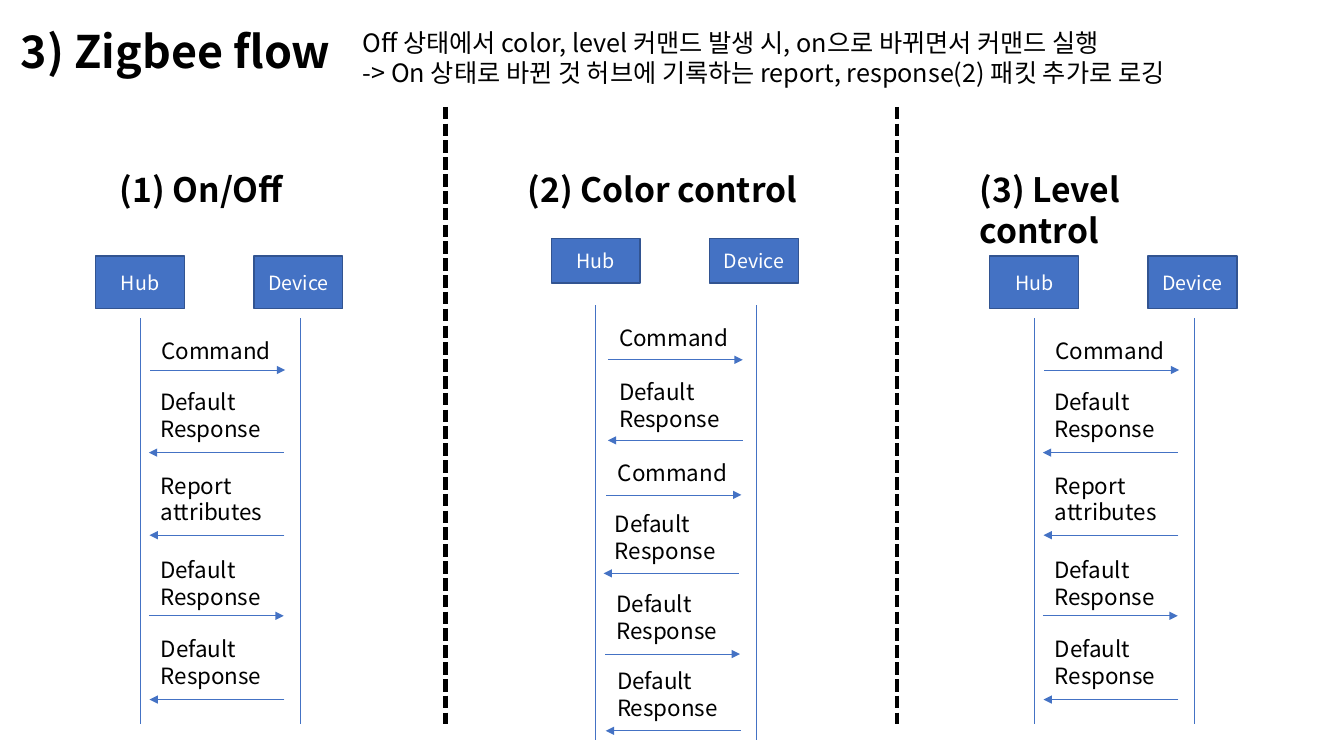
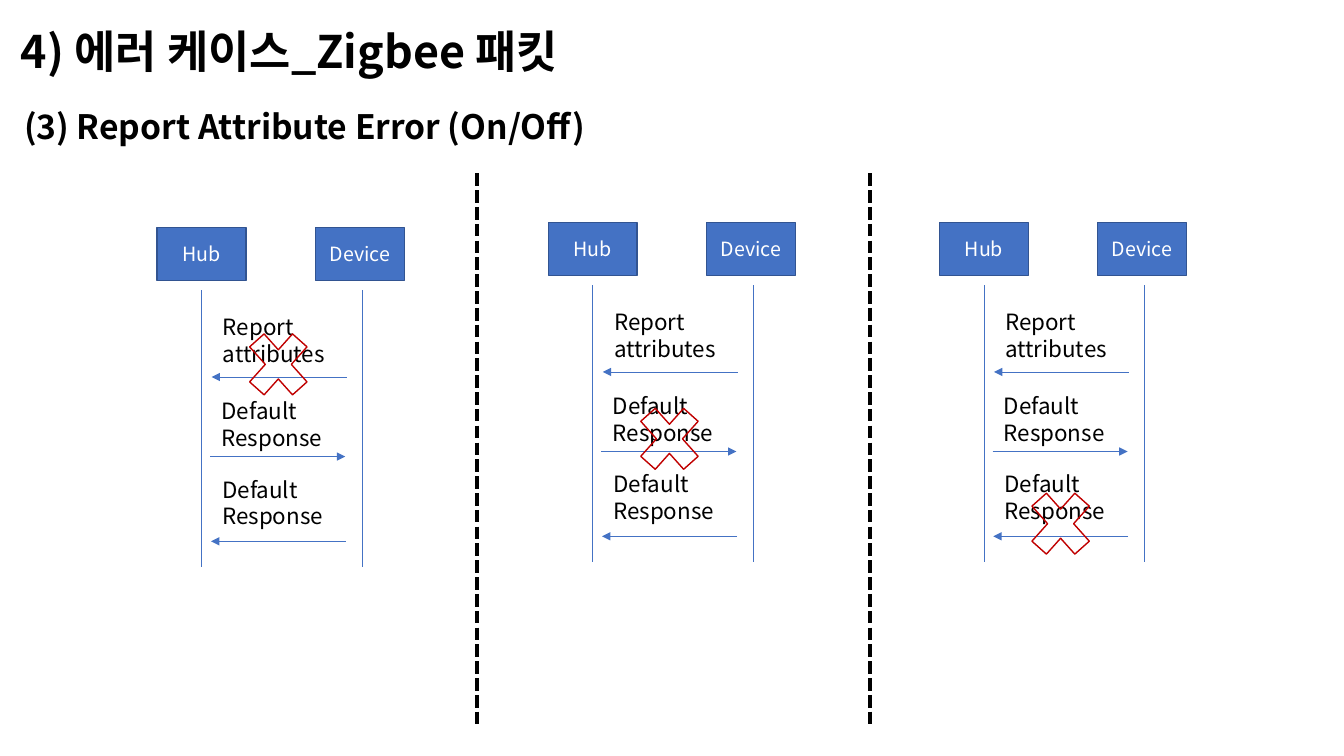
from pptx import Presentation
from pptx.dml.color import RGBColor
from pptx.enum.dml import MSO_LINE
from pptx.enum.shapes import MSO_CONNECTOR, MSO_SHAPE
from pptx.enum.text import MSO_ANCHOR, MSO_AUTO_SIZE, PP_ALIGN
from pptx.oxml.ns import qn
from pptx.util import Pt
from lxml import etree

STRAIGHT = MSO_CONNECTOR.STRAIGHT
RECTANGLE, CROSS = MSO_SHAPE.RECTANGLE, MSO_SHAPE.MATH_MULTIPLY
DASH = MSO_LINE.SQUARE_DOT
MIDDLE, TOP = MSO_ANCHOR.MIDDLE, MSO_ANCHOR.TOP
CENTER, LEFT = PP_ALIGN.CENTER, PP_ALIGN.LEFT
FIT = MSO_AUTO_SIZE.SHAPE_TO_FIT_TEXT

FONT = "Noto Sans CJK KR"
BLACK, WHITE, BLUE, NAVY, RED = "000000", "FFFFFF", "4472C4", "325491", "C00000"

# Sequence geometry, relative to the left edge of the hub
NODE_W, NODE_H, DEVICE_X = 63.5, 37.5, 113
LIFELINES = (31.7, 146.2)
ARROW_START, ARROW_END = 38.4, 134.8
LABEL_X, LABEL_W = 39.4, 97
TO_DEVICE, TO_HUB = True, False
COMMAND, RESPONSE, REPORT = "Command", "Default Response", "Report attributes"

# Messages: text, direction, label top, arrow height, sideways shift
SWITCH_FLOW = [
    (COMMAND, TO_DEVICE, 54.7, 81.4, 0.5),
    (RESPONSE, TO_HUB, 90.7, 140.4, -0.5),
    (REPORT, TO_HUB, 150.5, 199.4, 0),
    (RESPONSE, TO_DEVICE, 211, 257, -0.5),
    (RESPONSE, TO_HUB, 267, 316.8, 0),
]
COLOR_FLOW = [
    (COMMAND, TO_DEVICE, 57.6, 86.4, 2),
    (RESPONSE, TO_HUB, 95.8, 144, 2),
    (COMMAND, TO_DEVICE, 154, 182.9, 1),
    (RESPONSE, TO_HUB, 190, 239, -1),
    (RESPONSE, TO_DEVICE, 247.7, 296.6, 0),
    (RESPONSE, TO_HUB, 302.4, 351.4, 0.5),
]
REPORT_FLOW = [
    (REPORT, TO_HUB, 57.6, 106.6, 0.5),
    (RESPONSE, TO_DEVICE, 117.4, 163.4, -0.5),
    (RESPONSE, TO_HUB, 173.5, 224, 0),
]


def color(hex_code):
    return RGBColor.from_string(hex_code)


def write(frame, text, size=16, ink=BLACK, bold=False, align=LEFT,
          anchor=TOP, wrap=True):
    frame.word_wrap = wrap
    frame.vertical_anchor = anchor
    for index, line in enumerate(text.split("\n")):
        paragraph = frame.paragraphs[0] if index == 0 else frame.add_paragraph()
        paragraph.alignment = align
        run = paragraph.add_run()
        run.text = line
        run.font.size, run.font.bold, run.font.name = Pt(size), bold, FONT
        run.font.color.rgb = color(ink)
        east_asian = etree.SubElement(run.font._element, qn("a:ea"))
        east_asian.set("typeface", FONT)


def add_text(shapes, text, left, top, width, height, **style):
    box = shapes.add_textbox(Pt(left), Pt(top), Pt(width), Pt(height))
    write(box.text_frame, text, **style)
    box.text_frame.auto_size = FIT


def add_outlined(shapes, kind, left, top, width, height, edge, fill=None):
    shape = shapes.add_shape(kind, Pt(left), Pt(top), Pt(width), Pt(height))
    shape.shadow.inherit = False
    shape.line.color.rgb = color(edge)
    shape.line.width = Pt(1)
    if fill:
        shape.fill.solid()
        shape.fill.fore_color.rgb = color(fill)
    else:
        shape.fill.background()
    return shape


def add_line(shapes, start, end, ink=BLUE, width=0.5, dash=None, arrow=False):
    line = shapes.add_connector(STRAIGHT, *(Pt(v) for v in (*start, *end)))
    line.line.color.rgb = color(ink)
    line.line.width = Pt(width)
    if dash:
        line.line.dash_style = dash
    if arrow:
        tip = etree.SubElement(line.line._get_or_add_ln(), qn("a:tailEnd"))
        tip.set("type", "triangle")
    etree.SubElement(line._element.spPr, qn("a:effectLst"))


def add_sequence(slide, left, top, messages, life_end, life_start=44.6,
                 node_height=NODE_H, failed=None):
    shapes = slide.shapes.add_group_shape().shapes
    # Participants and lifelines
    for name, offset, life in zip(("Hub", "Device"), (0, DEVICE_X), LIFELINES):
        node = add_outlined(shapes, RECTANGLE, left + offset, top, NODE_W,
                            node_height, NAVY, BLUE)
        write(node.text_frame, name, size=14, ink=WHITE, align=CENTER,
              anchor=MIDDLE)
        add_line(shapes, (left + life, top + life_start),
                 (left + life, top + life_end))
    # Messages, with a cross over the one that fails
    for index, (text, direction, label_y, arrow_y, shift) in enumerate(messages):
        x, y = left + shift, top + arrow_y
        add_text(shapes, text, x + LABEL_X, top + label_y, LABEL_W,
                 27 if text == COMMAND else 46)
        ends = [(x + ARROW_START, y), (x + ARROW_END, y)]
        add_line(shapes, *(ends if direction == TO_DEVICE else ends[::-1]),
                 arrow=True)
        if index == failed:
            add_outlined(shapes, CROSS, left + 57, y - 42, 59, 66, RED)


def add_heading(slide, text, left, top, width, wrap=False):
    add_text(slide.shapes, text, left, top, width, 36, size=24, bold=True,
             wrap=wrap)


def add_frame(deck, title, title_width, dividers, top, bottom):
    slide = deck.slides.add_slide(deck.slide_layouts[6])
    add_text(slide.shapes, title, 7.9, 13.7, title_width, 46, size=32,
             bold=True, wrap=False)
    for x in dividers:
        add_line(slide.shapes, (x, top), (x, bottom), BLACK, 3, DASH)
    return slide


def build_flow_slide(deck):
    slide = add_frame(deck, "3) Zigbee flow", 239, (318.2, 640.8), 76.3, 517)
    add_text(slide.shapes,
             "Off 상태에서 color, level 커맨드 발생 시, on으로 바뀌면서 커맨드 실행\n"
             "-> On 상태로 바뀐 것 허브에 기록하는 report, response(2) 패킷 추가로 로깅",
             252, 15.8, 675, 51, size=18)
    add_heading(slide, "(1) On/Off", 78.5, 117.4, 135.4)
    add_heading(slide, "(2) Color control", 370, 117.4, 207.4)
    add_heading(slide, "(3) Level control", 692.6, 117.4, 198, wrap=True)
    for left in (68.4, 707):
        add_sequence(slide, left, 182.9, SWITCH_FLOW, 334)
    add_sequence(slide, 393.8, 170.6, COLOR_FLOW, 357.8, life_start=47.5,
                 node_height=31.7)


def build_error_slide(deck):
    slide = add_frame(deck, "4) 에러 케이스_Zigbee 패킷", 435,
                      (340.6, 621.4), 123.8, 519.8)
    add_heading(slide, "(3) Report Attribute Error (On/Off)", 10.1, 72, 419)
    # Each column fails one message later than the column before
    for failed, top in enumerate((162.7, 159.1, 159.1)):
        add_sequence(slide, 112.3 + 279.4 * failed, top, REPORT_FLOW, 242.6,
                     failed=failed)


deck = Presentation()
deck.slide_width, deck.slide_height = Pt(960), Pt(540)
build_flow_slide(deck)
build_error_slide(deck)
deck.save("out.pptx")
